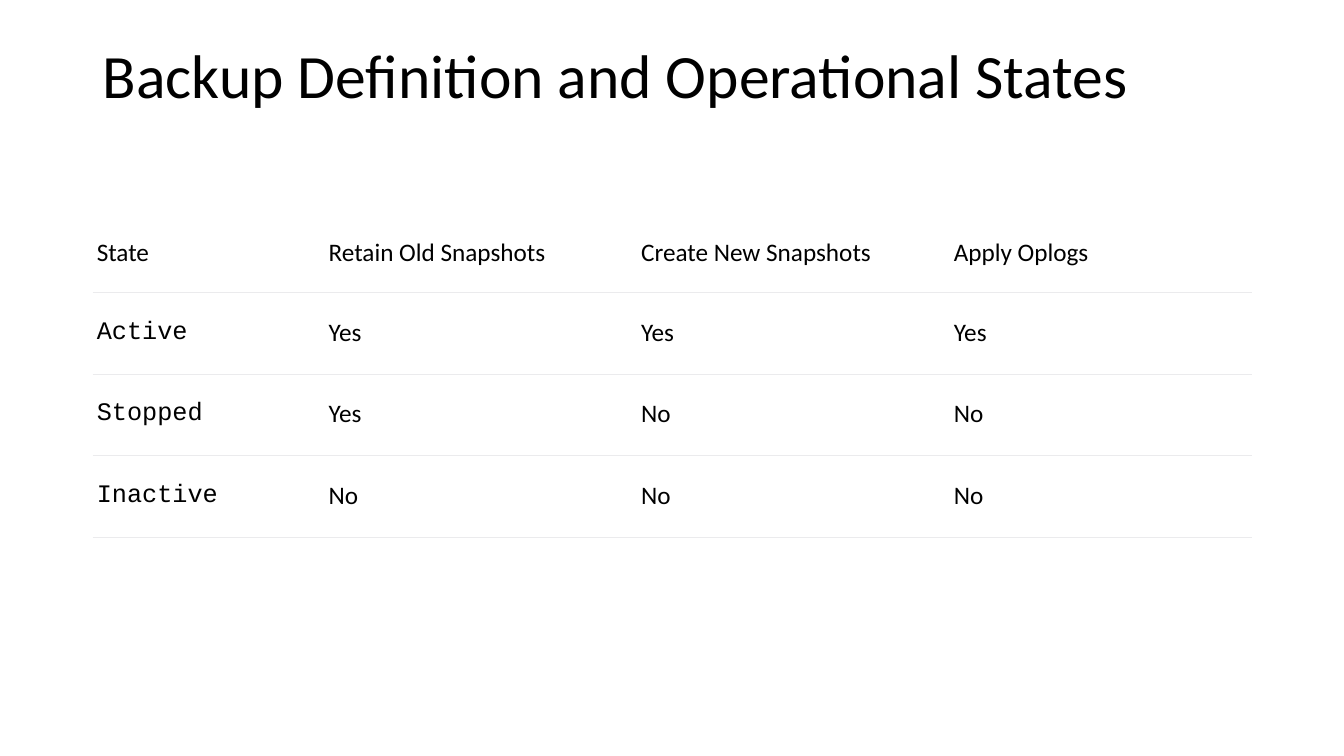
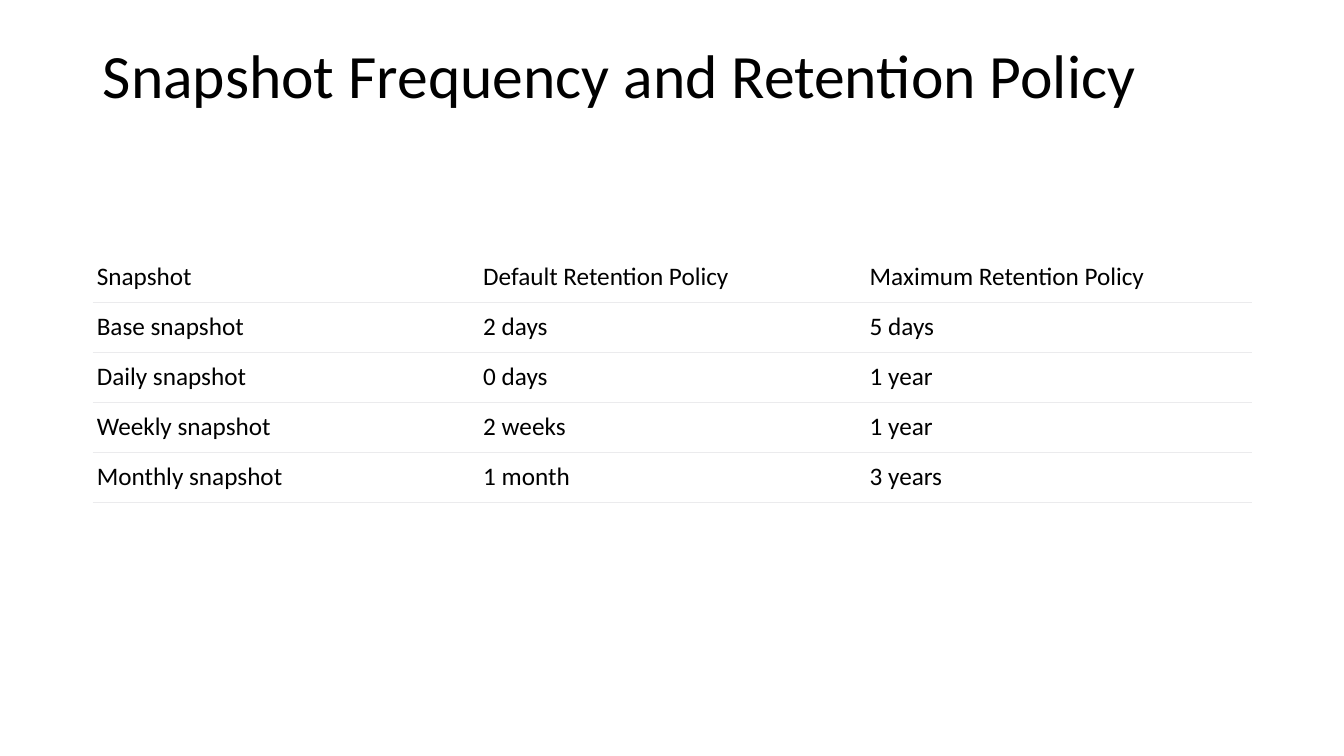
from lxml import etree
from pptx import Presentation
from pptx.dml.color import RGBColor
from pptx.enum.text import MSO_ANCHOR, MSO_AUTO_SIZE, PP_ALIGN
from pptx.oxml import parse_xml
from pptx.oxml.ns import nsdecls
from pptx.util import Inches, Pt

LEFT, TOP, MIDDLE = PP_ALIGN.LEFT, MSO_ANCHOR.TOP, MSO_ANCHOR.MIDDLE
NO_AUTOFIT = MSO_AUTO_SIZE.NONE
TITLE_ONLY = 5
BLACK, WHITE, RULE_GREY = "000000", "FFFFFF", "EBEBED"
BODY_FONT, CODE_FONT = "Calibri", "Courier New"
NO_GRID_STYLE = "{2D5ABB26-0587-4C30-8999-92F81FD0307C}"
CONTENT_LEFT, CONTENT_WIDTH = 0.92, 11.5

TITLE_BOX = {
    "left": Inches(CONTENT_LEFT), "top": Inches(0.4),
    "width": Inches(CONTENT_WIDTH), "height": Inches(1.45),
}
TITLE_FRAME = {"vertical_anchor": TOP, "word_wrap": True, "auto_size": NO_AUTOFIT}
CELL_FORMAT = {
    "vertical_anchor": MIDDLE, "margin_left": Inches(0.04),
    "margin_right": Inches(0.04), "margin_bottom": Inches(0.1),
}

SLIDES = [
    {
        "title": "Backup Definition and Operational States",
        "top": 2.16,
        "columns": [2.3, 3.1, 3.1, 3.0],
        "header_height": 0.74,
        "row_height": 0.81,
        "first_column_font": CODE_FONT,
        "rows": [
            ["State", "Retain Old Snapshots", "Create New Snapshots", "Apply Oplogs"],
            ["Active", "Yes", "Yes", "Yes"],
            ["Stopped", "Yes", "No", "No"],
            ["Inactive", "No", "No", "No"],
        ],
    },
    {
        "title": "Snapshot Frequency and Retention Policy",
        "top": 2.54,
        "columns": [CONTENT_WIDTH / 3] * 3,
        "header_height": 0.46,
        "row_height": 0.49,
        "first_column_font": BODY_FONT,
        "rows": [
            ["Snapshot", "Default Retention Policy", "Maximum Retention Policy"],
            ["Base snapshot", "2 days", "5 days"],
            ["Daily snapshot", "0 days", "1 year"],
            ["Weekly snapshot", "2 weeks", "1 year"],
            ["Monthly snapshot", "1 month", "3 years"],
        ],
    },
]


def set_text(paragraph, text, size, font_name):
    span = paragraph.add_run()
    span.text = text
    span.font.size = Pt(size)
    span.font.name = font_name
    span.font.color.rgb = RGBColor.from_string(BLACK)
    paragraph.alignment = LEFT


def format_cell(cell, top_margin):
    """Give a cell its margins, white fill and thin bottom rule."""
    for name, value in CELL_FORMAT.items():
        setattr(cell, name, value)
    cell.margin_top = Inches(top_margin)
    cell.fill.solid()
    cell.fill.fore_color.rgb = RGBColor.from_string(WHITE)
    rule = parse_xml(f'<a:lnB {nsdecls("a")} w="{Pt(0.6)}"/>')
    fill = etree.SubElement(rule, rule.tag.replace("lnB", "solidFill"))
    etree.SubElement(fill, rule.tag.replace("lnB", "srgbClr"), val=RULE_GREY)
    cell._tc.get_or_add_tcPr().insert(0, rule)


deck = Presentation()
deck.slide_width, deck.slide_height = Inches(13.33), Inches(7.5)

for content in SLIDES:
    page = deck.slides.add_slide(deck.slide_layouts[TITLE_ONLY])

    title = page.shapes.title
    for name, value in TITLE_BOX.items():
        setattr(title, name, value)
    for name, value in TITLE_FRAME.items():
        setattr(title.text_frame, name, value)
    heading = title.text_frame.paragraphs[0]
    heading.line_spacing = 0.9
    set_text(heading, content["title"], 44, BODY_FONT)

    rows, columns = content["rows"], content["columns"]
    heights = [content["header_height"]] + [content["row_height"]] * (len(rows) - 1)
    table = page.shapes.add_table(
        len(rows), len(columns), Inches(CONTENT_LEFT), Inches(content["top"]),
        Inches(CONTENT_WIDTH), Inches(sum(heights)),
    ).table
    table.horz_banding = False
    table._tbl.tblPr[0].text = NO_GRID_STYLE
    table.first_row = False

    for column, width in zip(table.columns, columns):
        column.width = Inches(width)
    for row_index, (row, height, texts) in enumerate(zip(table.rows, heights, rows)):
        row.height = Inches(height)
        for column_index, (cell, text) in enumerate(zip(row.cells, texts)):
            is_label = row_index > 0 and column_index == 0
            font_name = content["first_column_font"] if is_label else BODY_FONT
            format_cell(cell, 0.09 if row_index else 0.05)
            set_text(cell.text_frame.paragraphs[0], text, 18, font_name)

deck.save("out.pptx")
